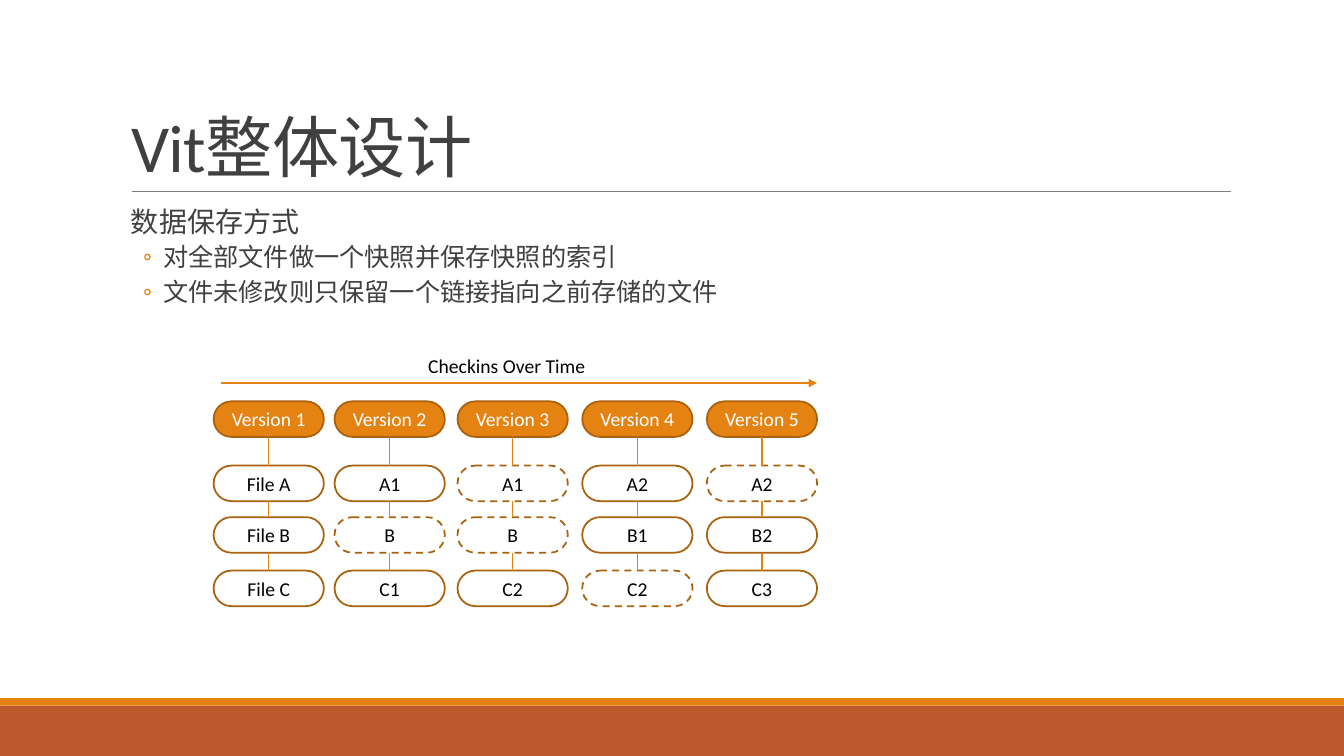
from pptx import Presentation
from pptx.dml.color import RGBColor
from pptx.enum.dml import MSO_LINE as Dash
from pptx.enum.lang import MSO_LANGUAGE_ID as Lang
from pptx.enum.shapes import MSO_CONNECTOR as Conn, MSO_SHAPE as Form
from pptx.enum.text import MSO_ANCHOR as Anchor, MSO_AUTO_SIZE as Fit, PP_ALIGN as Align
from pptx.oxml.ns import qn
from pptx.util import Pt
from lxml.etree import SubElement

ORANGE, RUST, BROWN = "E48312", "BD582C", "A9610D"
DARK, GREY, BLACK, WHITE = "404040", "808080", "000000", "FFFFFF"
FILES = [
    ["Version 1", "File A", "File B", "File C"],
    ["Version 2", "A1", "B", "C1"],
    ["Version 3", "A1", "B", "C2"],
    ["Version 4", "A2", "B1", "C2"],
    ["Version 5", "A2", "B2", "C3"],
]
LINKS = {(1, 2), (2, 1), (2, 2), (3, 3), (4, 1)}
COLS = [0, 86.4, 174.24, 263.3, 352.3]
ROWS = [0, 45.9, 82.7, 120.9]


def color(code):
    return RGBColor.from_string(code)


def style(item, form):
    for key, val in form.items():
        setattr(item, key, val)


def write(par, text, size, code, **form):
    run = par.add_run()
    run.text = text
    style(run.font, {"name": "Calibri", "size": Pt(size), **form})
    run.font.color.rgb = color(code)
    return run


def block(slide, form, box, fill, edge=None):
    shape = slide.shapes.add_shape(form, *map(Pt, box))
    shape.shadow.inherit = False
    shape.fill.solid()
    shape.fill.fore_color.rgb = color(fill)
    if edge:
        shape.line.color.rgb = color(edge)
        shape.line.width = Pt(1.25)
    else:
        shape.line.fill.background()
    return shape


def wire(slide, ends, code, width):
    line = slide.shapes.add_connector(Conn.STRAIGHT, *map(Pt, ends))
    line.line.color.rgb = color(code)
    line.line.width = Pt(width)
    SubElement(line._element.spPr, qn("a:effectLst"))
    return line


def frame(slide, box):
    left, top, width, height = box
    foot = top + height
    block(slide, Form.RECTANGLE, (left, foot - 36, width, 36), RUST)
    block(slide, Form.RECTANGLE, (left, foot - 41.3, width, 5.3), ORANGE)
    wire(slide, (left + 94.3, top + 136.8, left + 879.1, top + 136.8), GREY, 0.5)


def head(slide, box, text):
    title = slide.shapes.title
    style(title, dict(zip(("left", "top", "width", "height"), map(Pt, box))))
    style(title.text_frame, {"auto_size": Fit.NONE, "word_wrap": True,
                             "vertical_anchor": Anchor.BOTTOM})
    par = title.text_frame.paragraphs[0]
    style(par, {"alignment": Align.LEFT, "line_spacing": 0.85})
    run = write(par, text, 48, DARK, language_id=Lang.SIMPLIFIED_CHINESE)
    run._r.get_or_add_rPr().set("spc", "-50")


def body(slide, box, lead, points):
    text = slide.shapes.add_textbox(*map(Pt, box)).text_frame
    style(text, {"word_wrap": True, "margin_left": 0, "margin_right": 0})
    for num, line in enumerate([lead, *points]):
        par = text.add_paragraph() if num else text.paragraphs[0]
        size, before, after, left, back = (18, 2, 4, 30.2, -14.4) if num else (20, 12, 2, 7.2, 0)
        style(par, {"line_spacing": 0.9, "space_before": Pt(before),
                    "space_after": Pt(after), "level": min(num, 1)})
        props = par._p.get_or_add_pPr()
        props.set("marL", str(Pt(left)))
        props.set("indent", str(Pt(back)))
        if num:
            tint = SubElement(props, qn("a:buClr"))
            SubElement(tint, qn("a:srgbClr")).set("val", ORANGE)
            SubElement(props, qn("a:buFont")).set("typeface", "Calibri")
            SubElement(props, qn("a:buChar")).set("char", "◦")
        write(par, line, size, DARK, language_id=Lang.SIMPLIFIED_CHINESE)


def pill(slide, box, text, top, link):
    shape = block(slide, Form.FLOWCHART_TERMINATOR, box, ORANGE if top else WHITE, BROWN)
    if link:
        shape.line.dash_style = Dash.DASH
    style(shape.text_frame, {"vertical_anchor": Anchor.MIDDLE, "word_wrap": True})
    par = shape.text_frame.paragraphs[0]
    par.alignment = Align.CENTER
    write(par, text, 14, WHITE if top else BLACK)
    return shape


def chart(slide, box):
    left, top, width, height = box
    for col, (dx, names) in enumerate(zip(COLS, FILES)):
        last = None
        for row, (dy, name) in enumerate(zip(ROWS, names)):
            spot = (left + dx, top + 37.6 + dy, 78.8, 25.4)
            shape = pill(slide, spot, name, row == 0, (col, row) in LINKS)
            if last:
                line = wire(slide, (0, 0, 0, 0), ORANGE, 1)
                line.begin_connect(last, 2)
                line.end_connect(shape, 0)
            last = shape
    axis = wire(slide, (left + 5.3, top + 24.5, left + width, top + 24.5), ORANGE, 1)
    SubElement(axis.line._get_or_add_ln(), qn("a:tailEnd")).set("type", "triangle")
    label = slide.shapes.add_textbox(*map(Pt, (left + 146.2, top, 134.6, 24.2)))
    label.text_frame.word_wrap = True
    write(label.text_frame.paragraphs[0], "Checkins Over Time", 14, BLACK)


def main():
    deck = Presentation()
    style(deck, {"slide_width": Pt(960), "slide_height": Pt(540)})
    slide = deck.slides.add_slide(deck.slide_layouts[5])
    frame(slide, (0, 0, 960, 540))
    head(slide, (86.4, 22.3, 792, 114.5), "Vit整体设计")
    body(slide, (86.4, 145.4, 792, 316.8), "数据保存方式",
         ["对全部文件做一个快照并保存快照的索引",
          "文件未修改则只保留一个链接指向之前存储的文件"])
    chart(slide, (152.6, 249.1, 431, 183.7))
    deck.save("out.pptx")


if __name__ == "__main__":
    main()
